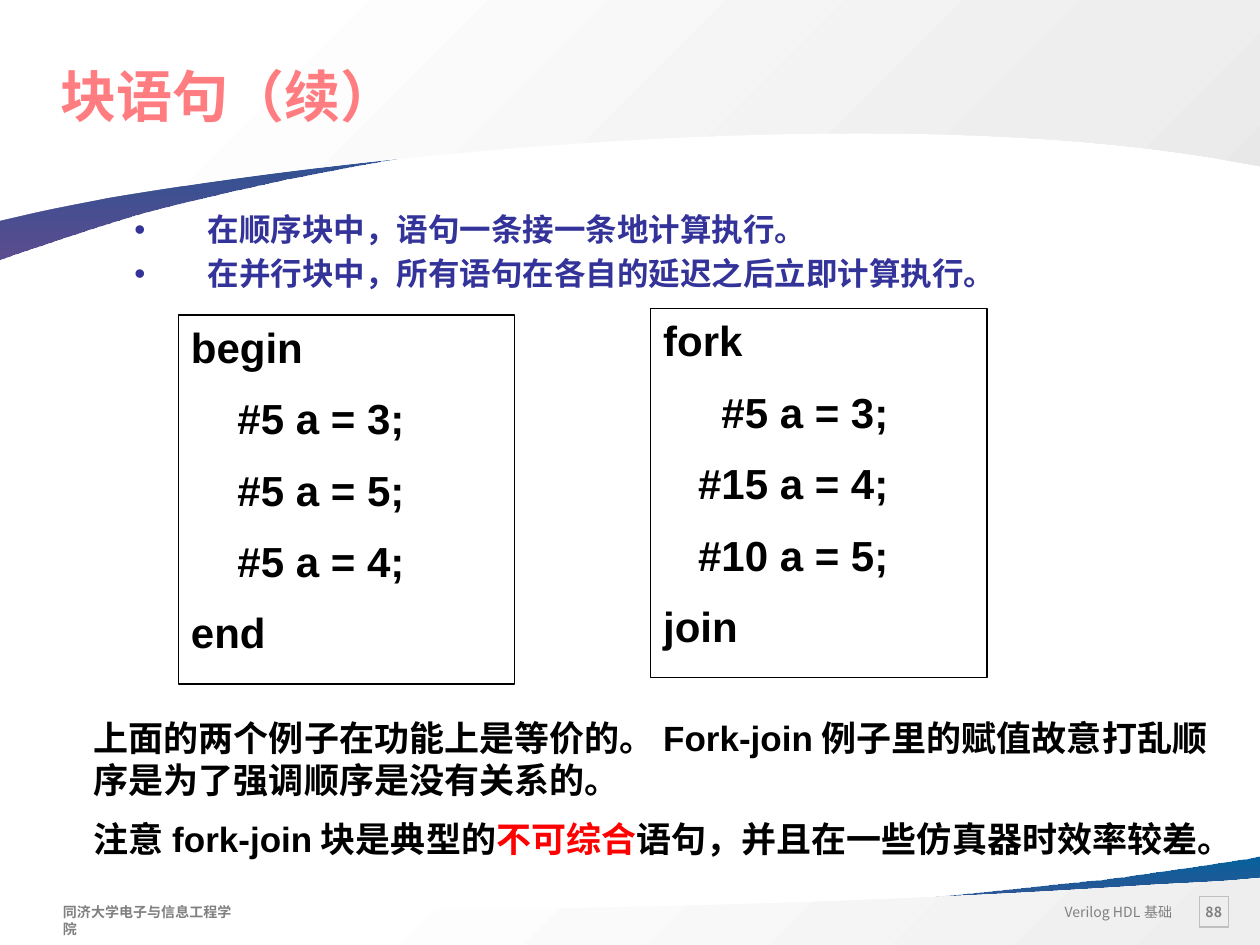
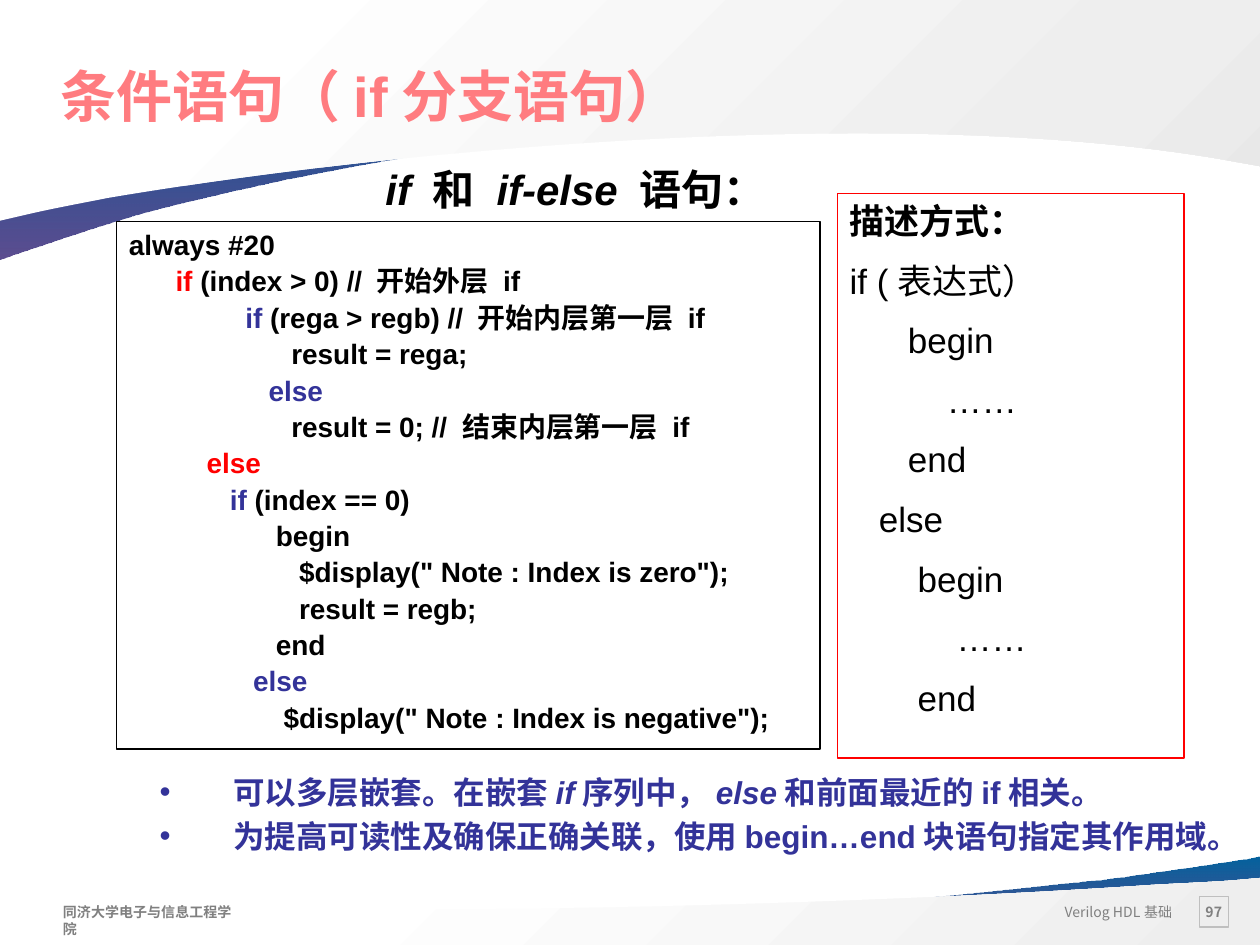
from pptx import Presentation
from pptx.dml.color import RGBColor
from pptx.enum.shapes import MSO_SHAPE
from pptx.enum.text import MSO_ANCHOR, MSO_AUTO_SIZE, PP_ALIGN
from pptx.oxml.ns import qn
from pptx.util import Cm, Pt
from lxml.etree import SubElement

BLACK, RED, INDIGO = "000000", "FF0000", "333399"
GREY, PALE_GREY, CORAL = "808080", "BFBFBF", "FF7C80"
PLAIN_INSETS = (0.25, 0.13, 0.25, 0.13)
TITLE_FORMAT = {"size": 32, "bold": True, "color": CORAL}
BULLET_FORMAT = {"size": 18, "bold": True, "color": INDIGO}
FOOTER_FORMAT = {"size": 8, "color": GREY, "name": "Noto Sans CJK SC"}
BOLD_FOOTER_FORMAT = {**FOOTER_FORMAT, "bold": True}

# Each band: corner points, curve points (two controls and an end), stops, angle
SWOOSH_STOPS = [(0, "04619D", 100), (100, "342275", 80)]
BANDS = [
    ([(25.4, 17.27), (25.4, 18.92), (0, 18.92), (0, 18.24), (0.03, 18.24)],
     [(5.74, 19.08), (15.62, 18.47), (21.31, 17.83),
      (22.45, 17.73), (23.75, 17.53), (25.12, 17.32)],
     SWOOSH_STOPS, 270),
    ([(25.4, 17.7), (25.4, 19.05), (0, 19.05), (0, 18.08), (0.84, 18.16)],
     [(7.47, 18.54), (17.35, 18.24), (23.22, 17.84),
      (23.72, 17.81), (24.28, 17.79), (24.84, 17.75)],
     [(26, "FFFFFF", 100), (100, "EEEEEE", 100)], 315),
    ([(0, 5.23), (0, 1.68), (25.4, 1.68), (25.4, 3.15), (25.37, 3.12)],
     [(19.66, 1.35), (9.78, 2.62), (4.09, 3.99),
      (2.95, 4.24), (1.65, 4.65), (0.28, 5.13)],
     SWOOSH_STOPS, 270),
    ([(0, 4.45), (0, 0), (25.4, 0), (25.4, 3.35), (24.56, 3.2)],
     [(17.93, 2.08), (8.05, 3), (2.18, 3.99),
      (1.68, 4.09), (1.12, 4.19), (0.56, 4.32)],
     [(17, "FFFFFF", 100), (81, "EEEEEE", 100), (100, "E8E8E8", 100)], 315),
]

BEGIN_CODE = ["begin", "    #5 a = 3;", "    #5 a = 5;", "    #5 a = 4;", "end"]
FORK_CODE = ["fork", "     #5 a = 3;", "   #15 a = 4;", "   #10 a = 5;", "join"]


def paint(color):
    return RGBColor.from_string(color)


def red(text):
    return text, {"color": RED}


def indigo(text):
    return text, {"color": INDIGO}


def italic(text):
    return text, {"italic": True}


def regular(text):
    return text, {"bold": False}


NESTED_IF_CODE = [
    "always #20",
    ["      ", red("if"), " (index > 0) // 开始外层 if"],
    ["               ", indigo("if"), " (rega > regb) // 开始内层第一层 if"],
    "                     result = rega;",
    ["                  ", indigo("else")],
    "                     result = 0; // 结束内层第一层 if",
    ["          ", red("else")],
    ["             ", indigo("if"), " (index == 0)"],
    "                   begin",
    '                      $display(" Note : Index is zero");',
    "                      result = regb;",
    "                   end",
    ["                ", indigo("else")],
    '                    $display(" Note : Index is negative");',
]
IF_SYNTAX = ["描述方式："] + [[regular(line)] for line in (
    "if (表达式）", "      begin", "          ……", "      end", "   else",
    "       begin", "           ……", "       end")]


def style_span(span, style):
    values = {"name": "Arial", **style}
    color, size = values.pop("color"), values.pop("size")
    span.font.size = Pt(size)
    span.font.color.rgb = paint(color)
    for key, value in values.items():
        setattr(span.font, key, value)
    SubElement(span.font._element, qn("a:ea"), typeface=values["name"])


def write(box, paragraphs, style, gap=0, align=PP_ALIGN.LEFT, bullet=False,
          insets=PLAIN_INSETS, wrap=True, anchor=MSO_ANCHOR.TOP):
    """Fill a box; a paragraph is a string or a list of strings and (text, style)."""
    frame = box.text_frame
    sides = ("margin_left", "margin_top", "margin_right", "margin_bottom")
    settings = {"word_wrap": wrap, "vertical_anchor": anchor,
                "auto_size": MSO_AUTO_SIZE.NONE,
                **{side: Cm(inset) for side, inset in zip(sides, insets)}}
    for key, value in settings.items():
        setattr(frame, key, value)
    for index, spans in enumerate(paragraphs):
        para = frame.add_paragraph() if index else frame.paragraphs[0]
        para.alignment = align
        para.space_before = Pt(gap if index else 0)
        if bullet:
            add_bullet(para)
        for part in [spans] if isinstance(spans, str) else spans:
            text, extra = (part, {}) if isinstance(part, str) else part
            span = para.add_run()
            span.text = text
            style_span(span, {**style, **extra})


def add_bullet(para):
    properties = para._p.get_or_add_pPr()
    properties.set("marL", str(Cm(1.48)))
    properties.set("indent", str(-Cm(1.48)))
    SubElement(properties, qn("a:buFont"), typeface="Arial")
    SubElement(properties, qn("a:buChar"), char="•")


def add_text(page, place, paragraphs, style, **options):
    box = page.shapes.add_textbox(*map(Cm, place))
    write(box, paragraphs, style, **options)


def add_frame(page, place, paragraphs, style, line=BLACK, **options):
    """Add an outlined rectangle with text."""
    box = page.shapes.add_shape(MSO_SHAPE.RECTANGLE, *map(Cm, place))
    box.shadow.inherit = False
    box.fill.background()
    box.line.color.rgb = paint(line)
    box.line.width = Pt(0.75)
    write(box, paragraphs, style, **options)


def add_bullets(page, place, paragraphs):
    add_text(page, place, paragraphs, BULLET_FORMAT, gap=3.6,
             align=PP_ALIGN.JUSTIFY, bullet=True)


def bend(outline, count):
    """Turn the last count line points of a freeform into cubic curves."""
    lines = list(outline.iter(qn("a:lnTo")))[-count:]
    for start in range(0, count, 3):
        first, *others = lines[start:start + 3]
        curve = first.makeelement(qn("a:cubicBezTo"))
        first.addprevious(curve)
        for line in (first, *others):
            curve.append(line[0])
            line.getparent().remove(line)


def add_band(page, corners, curve, stops, angle):
    points = [(Cm(x), Cm(y)) for x, y in corners + curve]
    builder = page.shapes.build_freeform(*points[0])
    builder.add_line_segments(points[1:], close=False)
    band = builder.convert_to_shape()
    bend(band._element, len(curve))
    SubElement(next(band._element.iter(qn("a:path"))), qn("a:close"))
    band.shadow.inherit = False
    band.line.fill.background()
    band.fill.gradient()
    band.fill.gradient_angle = angle
    stop_list = band._element.spPr.find(qn("a:gradFill")).find(qn("a:gsLst"))
    for stop in list(stop_list):
        stop_list.remove(stop)
    for position, color, opacity in stops:
        stop = SubElement(stop_list, qn("a:gs"), pos=str(position * 1000))
        tint = SubElement(stop, qn("a:srgbClr"), val=color)
        if opacity < 100:
            SubElement(tint, qn("a:alpha"), val=str(opacity * 1000))


def share_decoration(page):
    """Draw the bands and footer texts, then move them to the page's layout."""
    for band in BANDS:
        add_band(page, *band)
    add_text(page, (21.16, 18.08, 2.72, 0.61), ["Verilog HDL基础"],
             FOOTER_FORMAT, align=PP_ALIGN.RIGHT, wrap=False)
    add_text(page, (1.27, 18.08, 3.91, 0.58), ["同济大学电子与信息工程学院"],
             BOLD_FOOTER_FORMAT, insets=(0, 0.13, 0.25, 0.13))
    moved = [shape for shape in page.shapes if not shape.is_placeholder]
    for number, shape in enumerate(moved, start=101):
        next(shape._element.iter(qn("p:cNvPr"))).set("id", str(number))
        page.slide_layout.shapes._spTree.append(shape._element)


def add_page(deck, title, number):
    """Add a slide with its title and number."""
    page = deck.slides.add_slide(deck.slide_layouts[5])
    if len(deck.slides) == 1:
        share_decoration(page)
    add_frame(page, (24.18, 18.08, 0.58, 0.61), [number], BOLD_FOOTER_FORMAT,
              line=PALE_GREY, align=PP_ALIGN.CENTER, wrap=False,
              insets=(0.2,) * 4, anchor=MSO_ANCHOR.MIDDLE)
    heading = page.shapes.title
    place = {"left": 1.01, "top": 1.04, "width": 22.86, "height": 1.47}
    for key, value in place.items():
        setattr(heading, key, Cm(value))
    write(heading, [title], TITLE_FORMAT, insets=(0.2, 0.2, 0, 0.2), wrap=False)
    return page


def add_block_page(deck):
    page = add_page(deck, "块语句（续）", "88")
    add_bullets(page, (2.46, 4.11, 22.43, 2.11), [
        "在顺序块中，语句一条接一条地计算执行。",
        "在并行块中，所有语句在各自的延迟之后立即计算执行。"])
    code = {"size": 24, "bold": True, "color": BLACK}
    for left, top, lines in ((3.6, 6.35, BEGIN_CODE), (13.12, 6.22, FORK_CODE)):
        add_frame(page, (left, top, 6.78, 7.44), lines, code, gap=12)
    add_text(page, (1.64, 14.31, 23.06, 3.25), [
        "上面的两个例子在功能上是等价的。Fork-join例子里的赋值故意打乱顺序是为了强调顺序是没有关系的。",
        ["注意fork-join块是典型的", red("不可综合"),
         "语句，并且在一些仿真器时效率较差。"]],
        {**code, "size": 20}, gap=10)


def add_condition_page(deck):
    page = add_page(deck, "条件语句（if分支语句）", "97")
    add_bullets(page, (2.97, 15.45, 22.43, 2.11), [
        ["可以多层嵌套。在嵌套", italic("if"), "序列中，", italic("else"),
         "和前面最近的if相关。"],
        "为提高可读性及确保正确关联，使用begin…end块语句指定其作用域。"])
    code = {"size": 16, "bold": True, "color": BLACK}
    add_frame(page, (2.35, 4.46, 14.18, 10.64), NESTED_IF_CODE, code, gap=1.6)
    add_text(page, (7.52, 3.16, 16.61, 1.3),
             [[italic("if "), "和 ", italic("if-else "), "语句："]],
             {**code, "size": 24}, align=PP_ALIGN.JUSTIFY)
    add_frame(page, (16.88, 3.9, 6.99, 11.38), IF_SYNTAX,
              {**code, "size": 20}, line=RED, gap=10)


def main():
    deck = Presentation()
    deck.slide_width, deck.slide_height = Cm(25.4), Cm(19.05)
    add_block_page(deck)
    add_condition_page(deck)
    deck.save("out.pptx")


if __name__ == "__main__":
    main()
